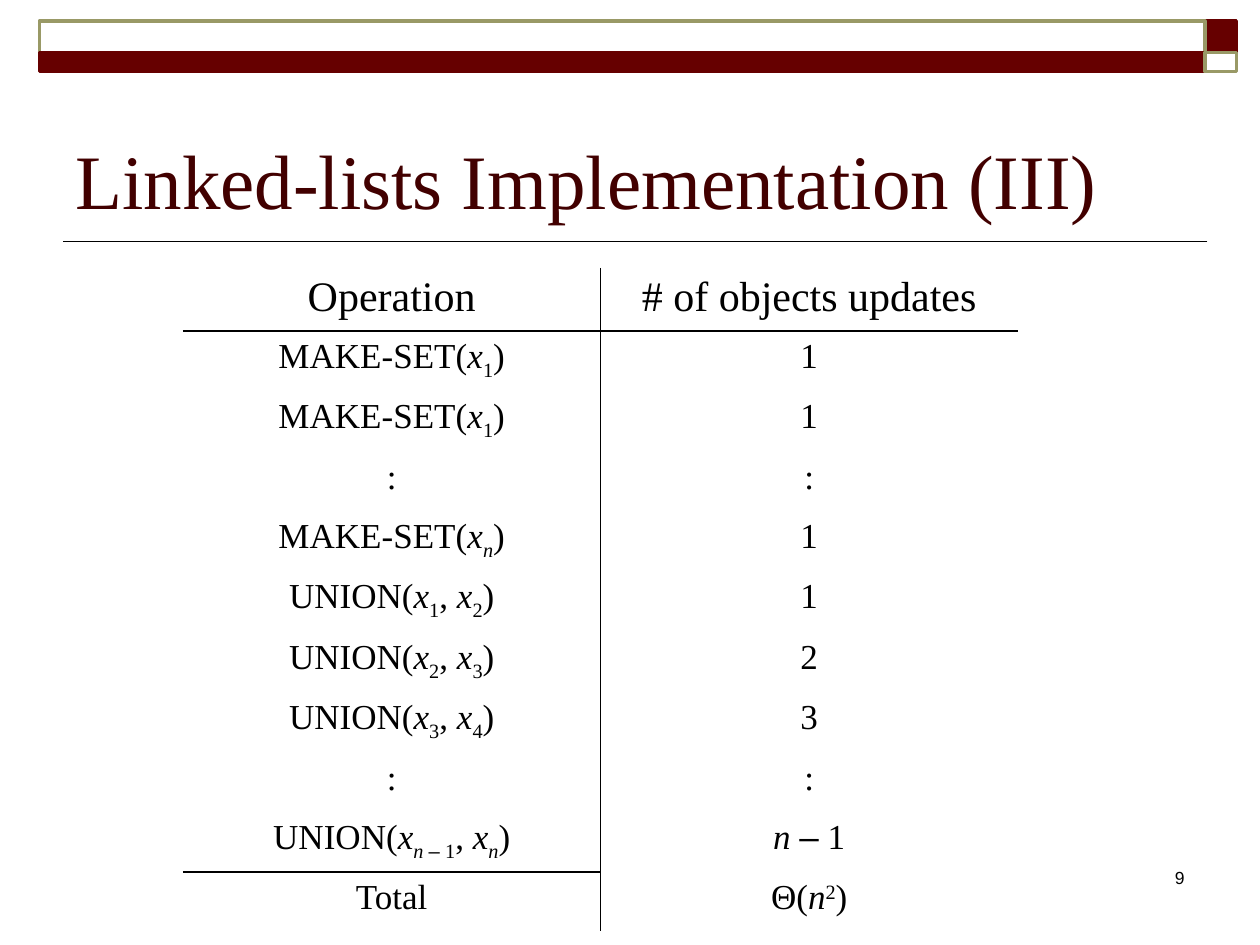
from dataclasses import dataclass

from lxml import etree
from pptx import Presentation
from pptx.dml.color import RGBColor
from pptx.enum.shapes import MSO_CONNECTOR as Connector, MSO_SHAPE as Shape
from pptx.enum.text import MSO_ANCHOR as Anchor, PP_ALIGN as Align
from pptx.oxml.ns import qn
from pptx.util import Pt


@dataclass(frozen=True)
class Theme:
    maroon: str = "660000"
    olive: str = "999966"
    heading: str = "420000"
    ink: str = "000000"
    serif: str = "Times New Roman"
    sans: str = "Arial"
    title_size: int = 44
    header_size: int = 24
    body_size: int = 20
    number_size: int = 10


theme = Theme()


# Content: each cell is a list of (text, style) pieces
def plain(text):
    return [(text, "")]


def make_set(index, style="sub"):
    return [("MAKE-SET(", ""), ("x", "italic"), (index, style), (")", "")]


def union(first, second):
    return [("UNION(", ""), ("x", "italic"), (first, "sub"), (", ", ""),
            ("x", "italic"), (second, "sub"), (")", "")]


title = "Linked-lists Implementation (III)"
page_number = "9"
operations = [
    (plain("Operation"), plain("# of objects updates")),
    (make_set("1"), plain("1")),
    (make_set("1"), plain("1")),
    (plain(":"), plain(":")),
    (make_set("n", "sub italic"), plain("1")),
    (union("1", "2"), plain("1")),
    (union("2", "3"), plain("2")),
    (union("3", "4"), plain("3")),
    (plain(":"), plain(":")),
    ([("UNION(", ""), ("x", "italic"), ("n ", "sub italic"), ("–", "sub sans"),
      (" 1", "sub"), (", ", ""), ("x", "italic"), ("n", "sub italic"), (")", "")],
     [("n ", "italic"), ("–", "sans"), (" 1", "")]),
    (plain("Total"),
     [("Θ(", ""), ("n", "italic"), ("2", "super"), (")", "")]),
]
BASELINES = {"sub": "-25000", "super": "30000"}

# Places, in points
SLIDE_W, SLIDE_H = 720, 540
BAND_LEFT, BAND_TOP, BAND_W, CORNER_W = 22.5, 12, 666, 18
UPPER_H, LOWER_H = 18, 11
TABLE_LEFT, TABLE_TOP, COLUMN_W, ROW_H = 104.5, 153, 238.6, 33.8

deck = Presentation()
deck.slide_width, deck.slide_height = Pt(SLIDE_W), Pt(SLIDE_H)
slide = deck.slides.add_slide(deck.slide_layouts[6])


def rgb(color):
    return RGBColor.from_string(color)


def style_font(font, name, size, color):
    font.name, font.size, font.color.rgb = name, Pt(size), rgb(color)


def add_band(left, top, width, height, line, fill=None):
    band = slide.shapes.add_shape(Shape.RECTANGLE, Pt(left), Pt(top), Pt(width), Pt(height))
    band.shadow.inherit = False
    if fill:
        band.fill.solid()
        band.fill.fore_color.rgb = rgb(fill)
    else:
        band.fill.background()
    band.line.color.rgb, band.line.width = rgb(line), Pt(2)


def add_label(text, place, name, size, color, align, anchor):
    frame = slide.shapes.add_textbox(*map(Pt, place)).text_frame
    frame.word_wrap, frame.vertical_anchor = True, anchor
    paragraph = frame.paragraphs[0]
    paragraph.text, paragraph.alignment = text, align
    style_font(paragraph.font, name, size, color)


def set_borders(cell, shown):
    properties = cell._tc.get_or_add_tcPr()
    for side in "LRTB":
        border = etree.SubElement(properties, qn("a:ln" + side), w=str(Pt(1)))
        if side in shown:
            fill = etree.SubElement(border, qn("a:solidFill"))
            etree.SubElement(fill, qn("a:srgbClr"), val=theme.ink)
        else:
            etree.SubElement(border, qn("a:noFill"))


def fill_cell(cell, pieces, size):
    paragraph = cell.text_frame.paragraphs[0]
    paragraph.alignment = Align.CENTER
    spacing = etree.SubElement(paragraph._p.get_or_add_pPr(), qn("a:spcBef"))
    etree.SubElement(spacing, qn("a:spcPct"), val="20000")
    style_font(paragraph.font, theme.serif, size, theme.ink)
    for text, style in pieces:
        run = paragraph.add_run()
        run.text = text
        # Runs carry the size so that table text keeps it
        styles = style.split()
        style_font(run.font, theme.sans if "sans" in styles else theme.serif, size, theme.ink)
        if "italic" in styles:
            run.font.italic = True
        for name in BASELINES.keys() & set(styles):
            run.font._element.set("baseline", BASELINES[name])


# Rule under the title
rule = slide.shapes.add_connector(Connector.STRAIGHT, Pt(690), Pt(138), Pt(36), Pt(138))
rule.line.color.rgb, rule.line.width = rgb(theme.ink), Pt(1)
etree.SubElement(rule._element.spPr, qn("a:effectLst"))

# Checkered band along the top
corner_left, lower_top = BAND_LEFT + BAND_W, BAND_TOP + UPPER_H
add_band(corner_left, BAND_TOP, CORNER_W, UPPER_H, theme.maroon, theme.maroon)
add_band(BAND_LEFT, BAND_TOP, BAND_W, UPPER_H, theme.olive)
add_band(BAND_LEFT, lower_top, BAND_W, LOWER_H, theme.maroon, theme.maroon)
add_band(corner_left, lower_top, CORNER_W, LOWER_H, theme.olive)

# Page number and title
add_label(page_number, (534, 492, 150, 36), theme.sans, theme.number_size,
          theme.ink, Align.RIGHT, Anchor.TOP)
add_label(title, (36, 42, 648, 90), theme.serif, theme.title_size,
          theme.heading, Align.LEFT, Anchor.BOTTOM)

# Table of operations
total_row = len(operations) - 1
table = slide.shapes.add_table(
    len(operations), 2, Pt(TABLE_LEFT), Pt(TABLE_TOP),
    Pt(2 * COLUMN_W), Pt(len(operations) * ROW_H)).table
table.first_row = table.horz_banding = False
for column in table.columns:
    column.width = Pt(COLUMN_W)
for row, cells in enumerate(operations):
    table.rows[row].height = Pt(ROW_H)
    size = theme.body_size if row else theme.header_size
    for column, pieces in enumerate(cells):
        cell = table.cell(row, column)
        sides = "L" if column else "R"
        if row == 0 or (row == total_row - 1 and column == 0):
            sides += "B"
        if row == 1 or (row == total_row and column == 0):
            sides += "T"
        set_borders(cell, sides)
        cell.fill.background()
        fill_cell(cell, pieces, size)

deck.save("out.pptx")
